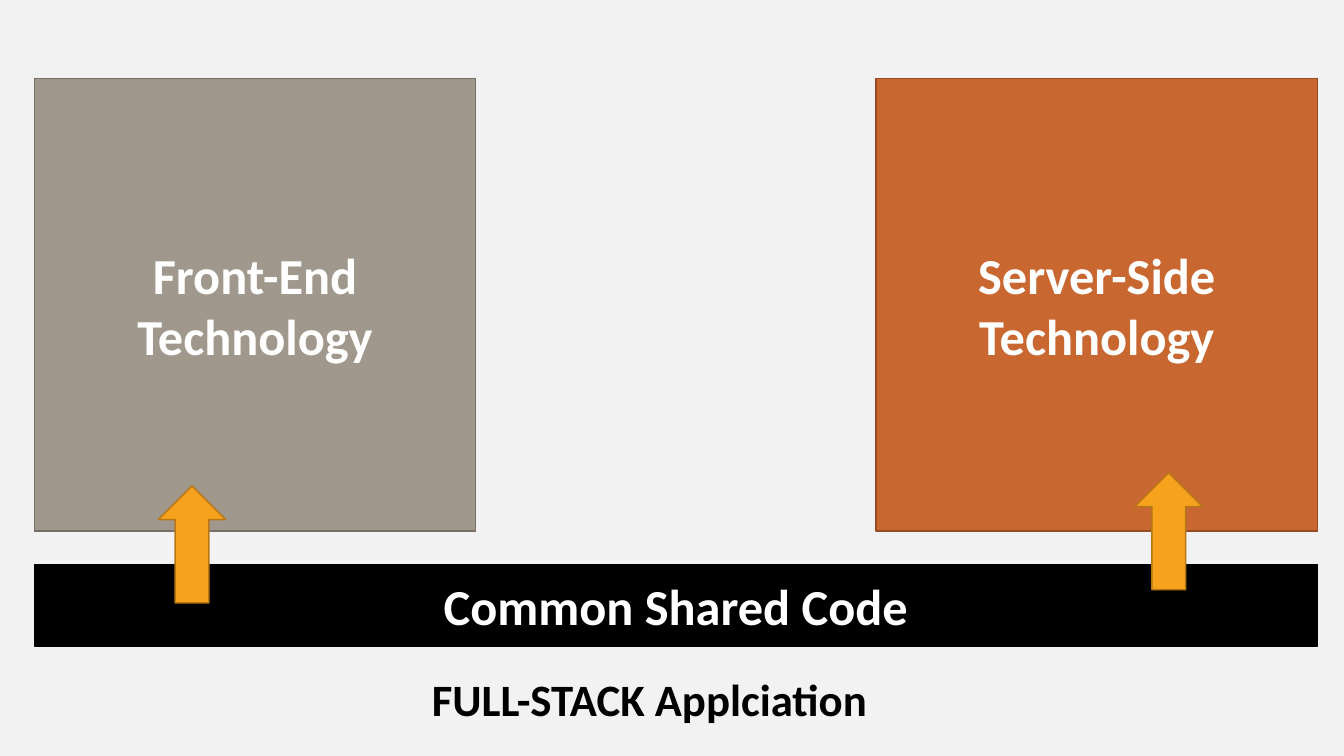
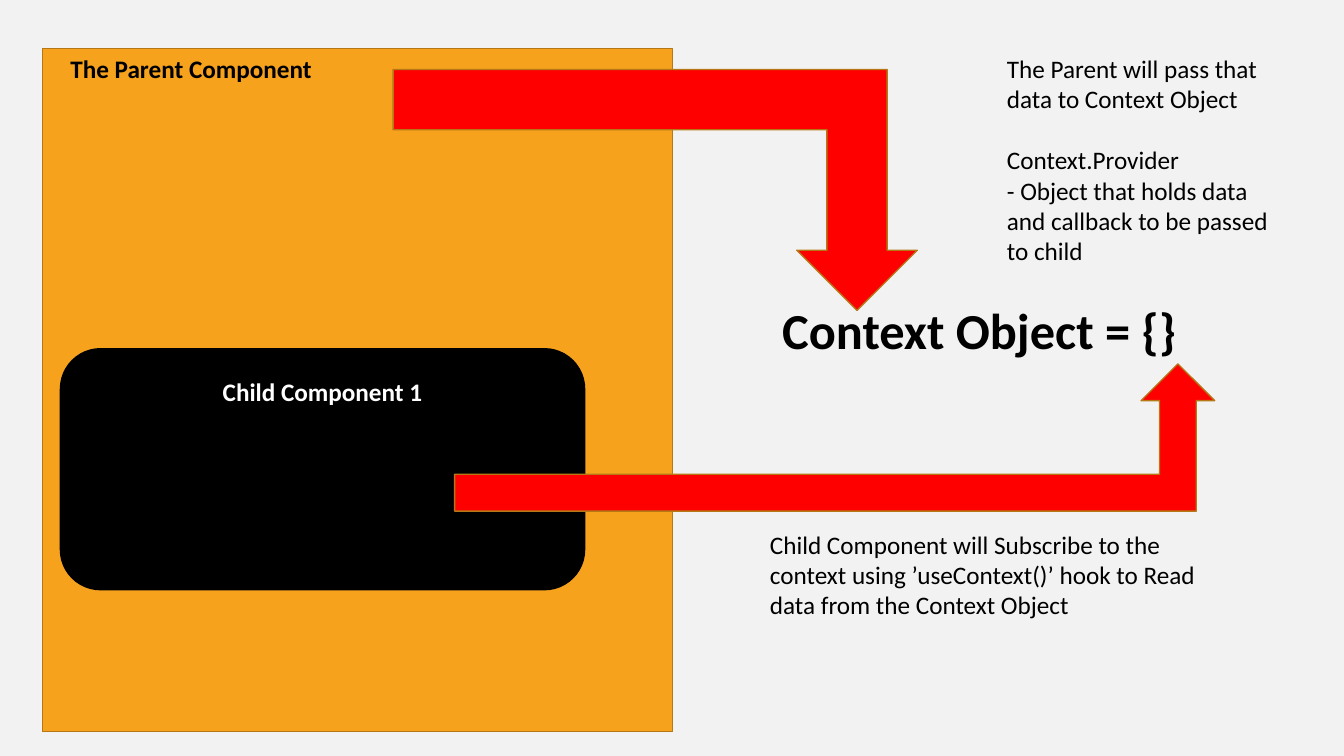
"""Build two diagram slides: a full-stack application and a context object."""
from dataclasses import dataclass, field

from pptx import Presentation
from pptx.dml.color import RGBColor
from pptx.enum.shapes import MSO_SHAPE
from pptx.enum.text import MSO_ANCHOR, MSO_AUTO_SIZE, PP_ALIGN
from pptx.util import Inches, Pt

RECT, ROUND = MSO_SHAPE.RECTANGLE, MSO_SHAPE.ROUNDED_RECTANGLE
UP, BENT = MSO_SHAPE.UP_ARROW, MSO_SHAPE.BENT_UP_ARROW
TOP, MIDDLE = MSO_ANCHOR.TOP, MSO_ANCHOR.MIDDLE
LEFT, CENTER = PP_ALIGN.LEFT, PP_ALIGN.CENTER
FIT = MSO_AUTO_SIZE.SHAPE_TO_FIT_TEXT

WIDTH, HEIGHT = Inches(13.333), Inches(7.5)
BLANK_LAYOUT = 6
FONT = "Calibri"
BLACK, WHITE, PAPER = "000000", "FFFFFF", "F2F2F2"
ORANGE, ORANGE_EDGE, RED = "F6A21D", "B67815", "FF0000"
RUST, RUST_EDGE, STONE, STONE_EDGE = "C96731", "954C24", "A0988C", "767068"


@dataclass(frozen=True)
class Place:
    """Left, top, width and height in percent of the slide."""
    x: float
    y: float
    w: float
    h: float

    def emu(self) -> tuple[int, int, int, int]:
        """Return the place in EMU."""
        return (int(WIDTH * self.x / 100), int(HEIGHT * self.y / 100),
                int(WIDTH * self.w / 100), int(HEIGHT * self.h / 100))


@dataclass(frozen=True)
class Text:
    """Paragraphs with one format; gaps maps a paragraph to its space before."""
    lines: tuple[str, ...]
    size: int = 18
    bold: bool = False
    color: str = BLACK
    align: PP_ALIGN = LEFT
    gaps: dict[int, int] = field(default_factory=dict)


@dataclass(frozen=True)
class Block:
    """A filled preset shape, with or without text."""
    place: Place
    kind: MSO_SHAPE
    fill: str
    edge: str
    text: Text | None = None
    frame: dict = field(default_factory=dict)
    flip: bool = False


@dataclass(frozen=True)
class Label:
    """A text box."""
    place: Place
    text: Text


def rgb(value: str) -> RGBColor:
    """Turn a hex string into a colour."""
    return RGBColor.from_string(value)


def set_all(target, values: dict) -> None:
    """Set every attribute named in values."""
    for name, value in values.items():
        setattr(target, name, value)


def write(tf, text: Text, frame: dict) -> None:
    """Fill a text frame."""
    set_all(tf, {"word_wrap": True, **frame})
    for i, line in enumerate(text.lines):
        p = tf.add_paragraph() if i else tf.paragraphs[0]
        set_all(p, {"alignment": text.align, "space_before": Pt(text.gaps.get(i, 0))})
        r = p.add_run()
        r.text = line
        set_all(r.font, {"name": FONT, "size": Pt(text.size), "bold": text.bold})
        r.font.color.rgb = rgb(text.color)


def draw_block(slide, block: Block) -> None:
    """Draw a filled shape."""
    sp = slide.shapes.add_shape(block.kind, *block.place.emu())
    sp.shadow.inherit = False
    sp.fill.solid()
    sp.fill.fore_color.rgb = rgb(block.fill)
    sp.line.color.rgb = rgb(block.edge)
    sp.line.width = Pt(1)
    if block.flip:
        sp.element.spPr.get_or_add_xfrm().set("flipV", "1")
    if block.text:
        write(sp.text_frame, block.text, {"vertical_anchor": MIDDLE, **block.frame})


def draw_label(slide, label: Label) -> None:
    """Draw a text box."""
    sp = slide.shapes.add_textbox(*label.place.emu())
    write(sp.text_frame, label.text, {"auto_size": FIT})


def heading(line: str, size: int = 36, color: str = WHITE) -> Text:
    """Return a bold centred line."""
    return Text((line,), size, True, color, CENTER)


def full_stack() -> list[Block | Label]:
    """Describe the full-stack slide."""
    edge, span, box = 2.55, 95.48, 32.85
    sides = [(edge, STONE, STONE_EDGE, "Front-End Technology"),
             (edge + span - box, RUST, RUST_EDGE, "Server-Side Technology")]
    arrows = [(11.78, 64.27), (84.45, 62.53)]
    return [
        *(Block(Place(x, 10.4, box, 59.87), RECT, fill, line, heading(name))
          for x, fill, line, name in sides),
        Block(Place(edge, 74.67, span, 10.8), RECT, BLACK, BLACK,
              heading("Common Shared Code")),
        *(Block(Place(x, y, 5.02, 15.47), UP, ORANGE, ORANGE_EDGE) for x, y in arrows),
        Label(Place(3.75, 88.13, 89.18, 8.53),
              heading("FULL-STACK Applciation", 32, BLACK)),
    ]


def context_object() -> list[Block | Label]:
    """Describe the context object slide."""
    top, inner = 6.4, 4.5
    provider = Text(("The Parent will pass that data to Context Object",
                     "Context.Provider",
                     "- Object that holds data and callback to be passed to child"),
                    gaps={1: 22})
    subscribe = Text(("Child Component will Subscribe to the context using "
                      "\u2019useContext()\u2019 hook to Read data from the Context Object",))
    return [
        Block(Place(3.15, top, 46.88, 90.4), RECT, ORANGE, ORANGE_EDGE),
        Label(Place(inner, top, 28.88, 5.33), Text(("The Parent Component",), bold=True)),
        Block(Place(inner, 46.13, 39, 31.87), ROUND, BLACK, BLACK,
              heading("Child Component 1", 18),
              {"vertical_anchor": TOP, "margin_top": Inches(0.16)}),
        Label(Place(51.38, 38.93, 42.98, 9.47),
              heading("Context Object = {}", 36, BLACK)),
        Block(Place(29.25, 9.2, 39, 31.87), BENT, RED, ORANGE_EDGE, flip=True),
        Label(Place(74.18, top, 22.65, 29.6), provider),
        Block(Place(33.83, 48.13, 56.55, 19.47), BENT, RED, ORANGE_EDGE),
        Label(Place(56.55, 69.33, 35.55, 13.47), subscribe),
    ]


def main() -> None:
    """Build and save the presentation."""
    prs = Presentation()
    set_all(prs, {"slide_width": WIDTH, "slide_height": HEIGHT})
    paper = prs.slide_master.background.fill
    paper.solid()
    paper.fore_color.rgb = rgb(PAPER)
    for items in (full_stack(), context_object()):
        slide = prs.slides.add_slide(prs.slide_layouts[BLANK_LAYOUT])
        for item in items:
            if isinstance(item, Block):
                draw_block(slide, item)
            else:
                draw_label(slide, item)
    prs.save("out.pptx")


main()
